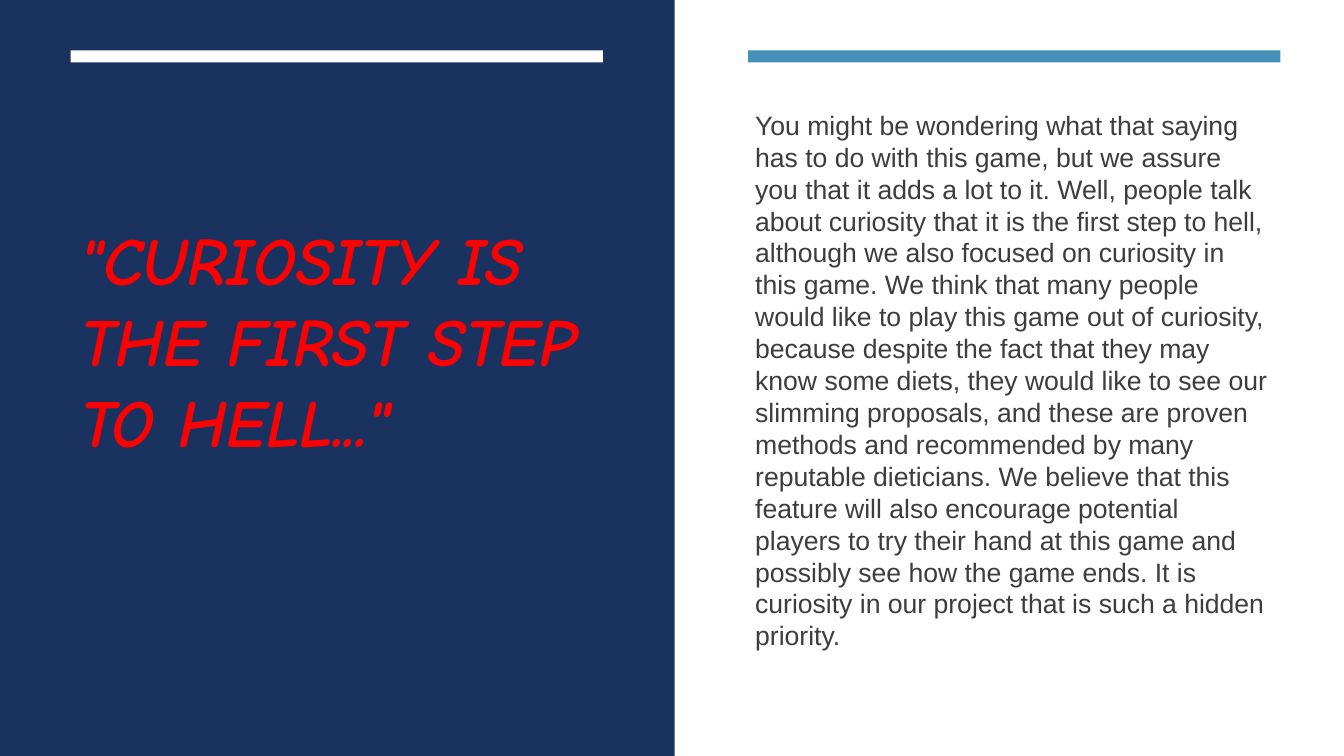
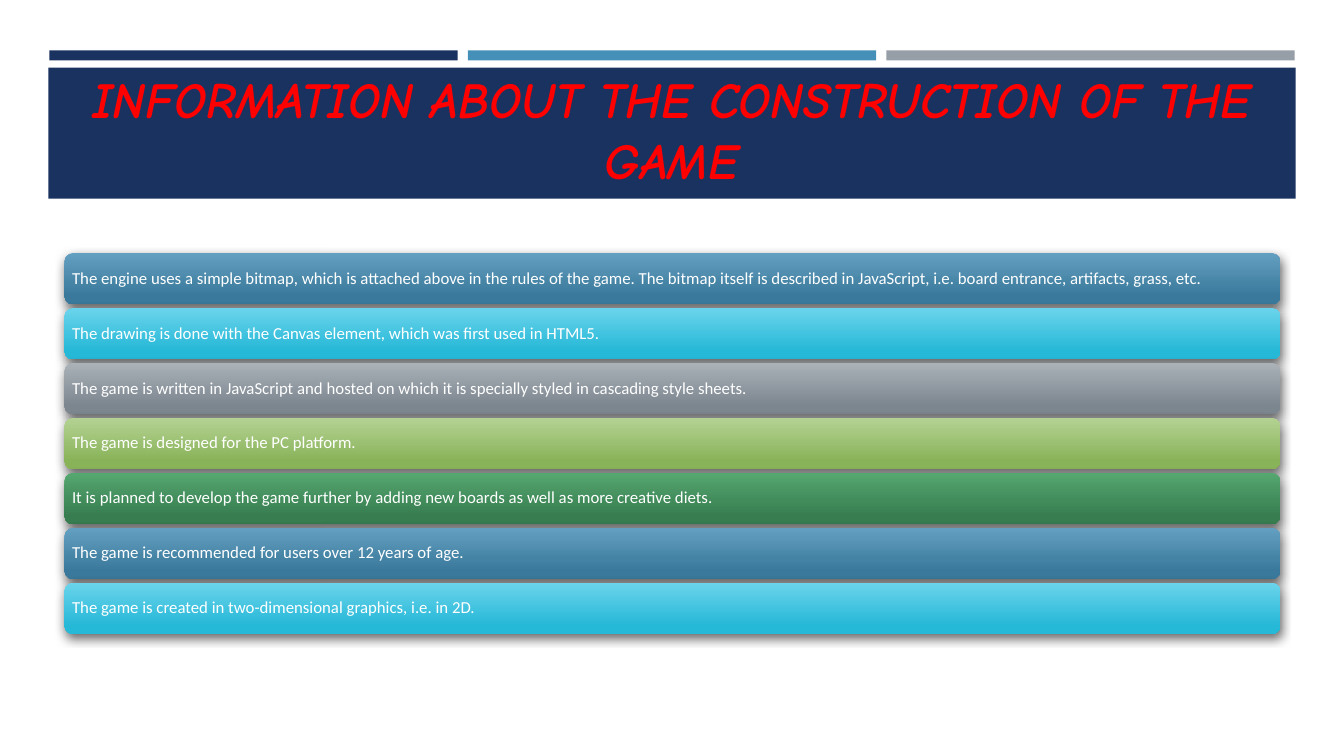
from lxml import etree
from pptx import Presentation
from pptx.dml.color import RGBColor
from pptx.enum import shapes, text
from pptx.oxml import ns
from pptx.util import Inches, Pt

NAVY = RGBColor(0x1A, 0x32, 0x60)
BLUE = RGBColor(0x45, 0x90, 0xB8)
GREY = RGBColor(0x96, 0x9F, 0xA7)
WHITE = RGBColor(0xFF, 0xFF, 0xFF)
RED = RGBColor(0xFF, 0x00, 0x00)
INK = RGBColor(0x3D, 0x3D, 0x3D)

# Top and bottom colours of the row gradients, used in turn
GRADIENTS = [
    (RGBColor(0x63, 0x9F, 0xC1), RGBColor(0x3A, 0x79, 0x9B)),
    (RGBColor(0x6B, 0xD4, 0xEC), RGBColor(0x26, 0xB8, 0xD7)),
    (RGBColor(0xAB, 0xB2, 0xB8), RGBColor(0x7C, 0x86, 0x8F)),
    (RGBColor(0xB4, 0xD2, 0x93), RGBColor(0x89, 0xB3, 0x59)),
    (RGBColor(0x55, 0xA7, 0x70), RGBColor(0x37, 0x7D, 0x50)),
]
ROW_SHADOW = (
    f'<a:effectLst {ns.nsdecls("a")}>'
    '<a:outerShdw blurRad="88900" dist="38100" dir="5040000" rotWithShape="0">'
    '<a:srgbClr val="000000"><a:alpha val="60000"/></a:srgbClr>'
    '</a:outerShdw></a:effectLst>'
)

PAGE_WIDTH, PAGE_HEIGHT = 13.33, 7.5
LINE_PITCH = 1.2
BAND_TOP = 0.5
TITLE_FONT = {"name": "Comic Neue", "bold": True, "italic": True}
BODY_FONT = {"name": "Arial", "size": Pt(19)}
ROW_FONT = {"name": "Calibri", "size": Pt(12)}


def add_band(slide, color, left, top, width, height):
    """Add a plain rectangle behind everything drawn so far."""
    band = slide.shapes.add_shape(
        shapes.MSO_SHAPE.RECTANGLE, *map(Inches, (left, top, width, height)))
    band.shadow.inherit = False
    band.fill.solid()
    band.fill.fore_color.rgb = color
    band.line.fill.background()
    slide.shapes._spTree.insert(2, band._element)


def set_text(shape, words, font, color, align, anchor, spacing):
    """Write one paragraph without bullet or indent in the given format."""
    frame = shape.text_frame
    frame.word_wrap = True
    frame.auto_size = text.MSO_AUTO_SIZE.NONE
    frame.vertical_anchor = anchor
    paragraph = frame.paragraphs[0]
    properties = paragraph._p.get_or_add_pPr()
    properties.set("marL", "0")
    properties.set("indent", "0")
    etree.SubElement(properties, ns.qn("a:buNone"))
    paragraph.alignment = align
    paragraph.line_spacing = spacing
    paragraph.space_before = Pt(0)
    run = paragraph.add_run()
    run.text = words
    for name, value in font.items():
        setattr(run.font, name, value)
    run.font.color.rgb = color


prs = Presentation()
prs.slide_width, prs.slide_height = Inches(PAGE_WIDTH), Inches(PAGE_HEIGHT)
MIDDLE, BOTTOM = text.MSO_ANCHOR.MIDDLE, text.MSO_ANCHOR.BOTTOM
LEFT, CENTER = text.PP_ALIGN.LEFT, text.PP_ALIGN.CENTER

# Slide 1: saying on the left half, explanation on the right
curiosity = prs.slides.add_slide(prs.slide_layouts[1])
for color, left in ((BLUE, 7.42), (WHITE, 0.7)):
    add_band(curiosity, color, left, BAND_TOP, 5.28, 0.12)
add_band(curiosity, NAVY, 0, 0, 6.69, PAGE_HEIGHT)

saying = curiosity.shapes.title
saying.left, saying.top, saying.width, saying.height = map(
    Inches, (0.7, 1.13, 5.28, 4.48))
set_text(saying, '"CURIOSITY IS THE FIRST STEP TO HELL..."',
         {**TITLE_FONT, "size": Pt(48)}, RED, LEFT, MIDDLE, Pt(48 * LINE_PITCH))

explanation = curiosity.placeholders[1]
explanation.left, explanation.top, explanation.width, explanation.height = map(
    Inches, (7.39, 1.13, 5.31, 5.28))
set_text(
    explanation,
    "You might be wondering what that saying has to do with this game, but we "
    "assure you that it adds a lot to it. Well, people talk about curiosity that "
    "it is the first step to hell, although we also focused on curiosity in this "
    "game. We think that many people would like to play this game out of "
    "curiosity, because despite the fact that they may know some diets, they "
    "would like to see our slimming proposals, and these are proven methods and "
    "recommended by many reputable dieticians. We believe that this feature will "
    "also encourage potential players to try their hand at this game and possibly "
    "see how the game ends. It is curiosity in our project that is such a hidden "
    "priority.",
    BODY_FONT, INK, LEFT, MIDDLE, Pt(19 * LINE_PITCH))

# Slide 2: title block under three bands
construction = prs.slides.add_slide(prs.slide_layouts[5])
for column, color in enumerate((NAVY, BLUE, GREY)):
    add_band(construction, color, 0.49 + column * 4.15, BAND_TOP, 4.05, 0.1)
add_band(construction, NAVY, 0.48, 0.67, 12.37, 1.3)

heading = construction.shapes.title
heading.left, heading.top, heading.width, heading.height = map(
    Inches, (0.63, 0.82, 12.06, 1.11))
set_text(heading, "INFORMATION ABOUT THE CONSTRUCTION OF THE GAME",
         {**TITLE_FONT, "size": Pt(36)}, RED, CENTER, BOTTOM, Pt(36 * LINE_PITCH))

# Stack of facts, one rounded row each
facts = [
    "The engine uses a simple bitmap, which is attached above in the rules of the "
    "game. The bitmap itself is described in JavaScript, i.e. board entrance, "
    "artifacts, grass, etc.",
    "The drawing is done with the Canvas element, which was first used in HTML5.",
    "The game is written in JavaScript and hosted on which it is specially styled "
    "in cascading style sheets.",
    "The game is designed for the PC platform.",
    "It is planned to develop the game further by adding new boards as well as "
    "more creative diets.",
    "The game is recommended for users over 12 years of age.",
    "The game is created in two-dimensional graphics, i.e. in 2D.",
]
FIRST_ROW, ROW_PITCH = 2.51, 0.545
for number, fact in enumerate(facts):
    row = construction.shapes.add_shape(
        shapes.MSO_SHAPE.ROUNDED_RECTANGLE, Inches(0.64),
        Inches(FIRST_ROW + number * ROW_PITCH), Inches(12.06), Inches(0.51))
    row.line.fill.background()
    row.fill.gradient()
    row.fill.gradient_angle = 270
    for stop, place, color in zip(row.fill.gradient_stops, (0, 0.84),
                                  GRADIENTS[number % len(GRADIENTS)]):
        stop.position = place
        stop.color.rgb = color
    row._element.spPr.append(etree.fromstring(ROW_SHADOW))
    row.text_frame.margin_left = row.text_frame.margin_right = Inches(0.05)
    set_text(row, fact, ROW_FONT, WHITE, LEFT, MIDDLE, 0.9)

# White page behind both slides
for slide in prs.slides:
    add_band(slide, WHITE, 0, 0, PAGE_WIDTH, PAGE_HEIGHT)

prs.save("out.pptx")
